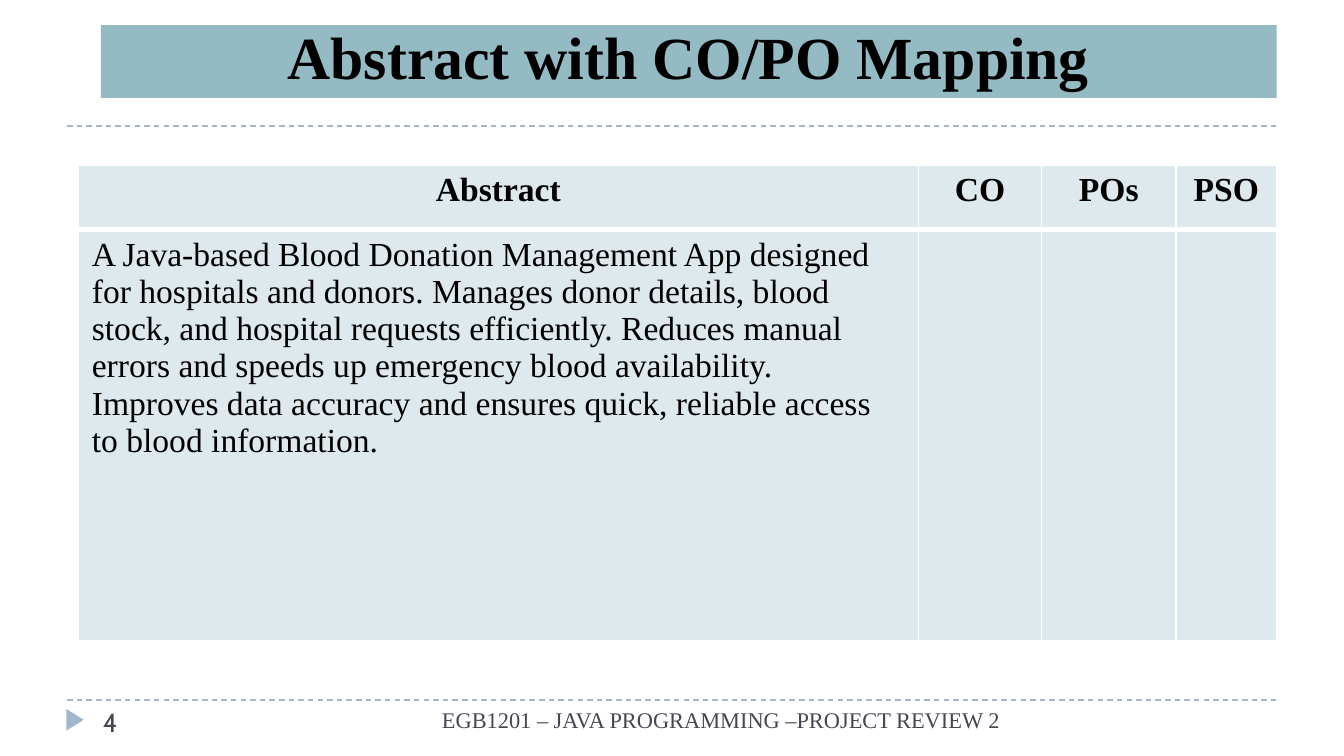
from lxml import etree
from pptx import Presentation
from pptx.enum import dml, shapes, text
from pptx.dml.color import RGBColor
from pptx.oxml import ns
from pptx.util import Pt

COLORS = {
    "rule": "9FB8CD",
    "band": "94BAC3",
    "cell": "DDE9EC",
    "ink": "000000",
    "footer": "464653",
    "border": "FFFFFF",
}
SERIF = "Times New Roman"
HEADINGS = ["Abstract", "CO", "POs", "PSO"]
ABSTRACT = (
    "A Java-based Blood Donation Management App designed for hospitals and donors. "
    "Manages donor details, blood stock, and hospital requests efficiently. "
    "Reduces manual errors and speeds up emergency blood availability. "
    "Improves data accuracy and ensures quick, reliable access to blood information."
)
COLUMN_WIDTHS = [450, 66, 72, 54]
ROW_HEIGHTS = [34.5, 220.5]


def rgb(name):
    return RGBColor.from_string(COLORS[name])


def place(item, left, top, width, height):
    item.left, item.top = Pt(left), Pt(top)
    item.width, item.height = Pt(width), Pt(height)


def write(frame, words, size, color, font=SERIF, bold=False, align=text.PP_ALIGN.LEFT):
    frame.text = words
    paragraph = frame.paragraphs[0]
    paragraph.alignment = align
    paragraph.font.name = font
    paragraph.font.size = Pt(size)
    paragraph.font.bold = bold
    paragraph.font.color.rgb = rgb(color)


def add_rule(slide, y):
    rule = slide.shapes.add_connector(
        shapes.MSO_CONNECTOR.STRAIGHT, Pt(36), Pt(y), Pt(684), Pt(y))
    rule.line.color.rgb = rgb("rule")
    rule.line.width = Pt(0.75)
    rule.line.dash_style = dml.MSO_LINE.DASH
    etree.SubElement(rule._element.spPr, ns.qn("a:effectLst"))


def add_page_marker(slide):
    marker = slide.shapes.add_shape(
        shapes.MSO_SHAPE.ISOSCELES_TRIANGLE, Pt(34.5), Pt(381), Pt(11.5), Pt(9.3))
    marker.rotation = 90
    marker.shadow.inherit = False
    marker.fill.solid()
    marker.fill.fore_color.rgb = rgb("rule")
    marker.line.fill.background()


def add_title(slide):
    title = slide.shapes.title
    place(title, 54, 13.5, 630, 39)
    title.fill.solid()
    title.fill.fore_color.rgb = rgb("band")
    title.text_frame.auto_size = text.MSO_AUTO_SIZE.NONE
    title.text_frame.vertical_anchor = text.MSO_ANCHOR.BOTTOM
    write(title.text_frame, "Abstract with CO/PO Mapping", 32, "ink",
          bold=True, align=text.PP_ALIGN.CENTER)


def add_label(slide, box, words, size, **style):
    label = slide.shapes.add_textbox(*map(Pt, box))
    label.text_frame.word_wrap = True
    write(label.text_frame, words, size, "footer", **style)


def set_borders(cell, widths):
    properties = cell._tc.get_or_add_tcPr()
    for index, (side, width) in enumerate(widths.items()):
        border = etree.Element(ns.qn(f"a:ln{side}"), w=str(Pt(width)))
        fill = etree.SubElement(border, ns.qn("a:solidFill"))
        etree.SubElement(fill, ns.qn("a:srgbClr"), val=COLORS["border"])
        properties.insert(index, border)


def add_mapping_table(slide):
    table = slide.shapes.add_table(
        2, len(HEADINGS), Pt(42), Pt(88.5),
        Pt(sum(COLUMN_WIDTHS)), Pt(sum(ROW_HEIGHTS))).table
    for column, width in zip(table.columns, COLUMN_WIDTHS):
        column.width = Pt(width)
    for row, height in zip(table.rows, ROW_HEIGHTS):
        row.height = Pt(height)
    for cell in table.iter_cells():
        cell.fill.solid()
        cell.fill.fore_color.rgb = rgb("cell")
    for heading, head, body in zip(HEADINGS, table.rows[0].cells, table.rows[1].cells):
        write(head.text_frame, heading, 18, "ink", bold=True, align=text.PP_ALIGN.CENTER)
        set_borders(head, {"L": 1, "R": 1, "T": 1, "B": 3})
        set_borders(body, {"L": 1, "R": 1, "T": 3, "B": 1})
    write(table.cell(1, 0).text_frame, ABSTRACT, 18, "ink")


def main():
    deck = Presentation()
    deck.slide_width, deck.slide_height = Pt(720), Pt(405)
    slide = deck.slides.add_slide(deck.slide_layouts[5])
    for y in (375, 67.5):
        add_rule(slide, y)
    add_page_marker(slide)
    add_title(slide)
    add_label(slide, (222, 375, 324, 30), "EGB1201 – JAVA PROGRAMMING –PROJECT REVIEW 2 ",
              12, align=text.PP_ALIGN.RIGHT)
    add_label(slide, (48, 375, 156, 21.5), "4", 14, font="Cabin")
    add_mapping_table(slide)
    deck.save("out.pptx")


if __name__ == "__main__":
    main()
